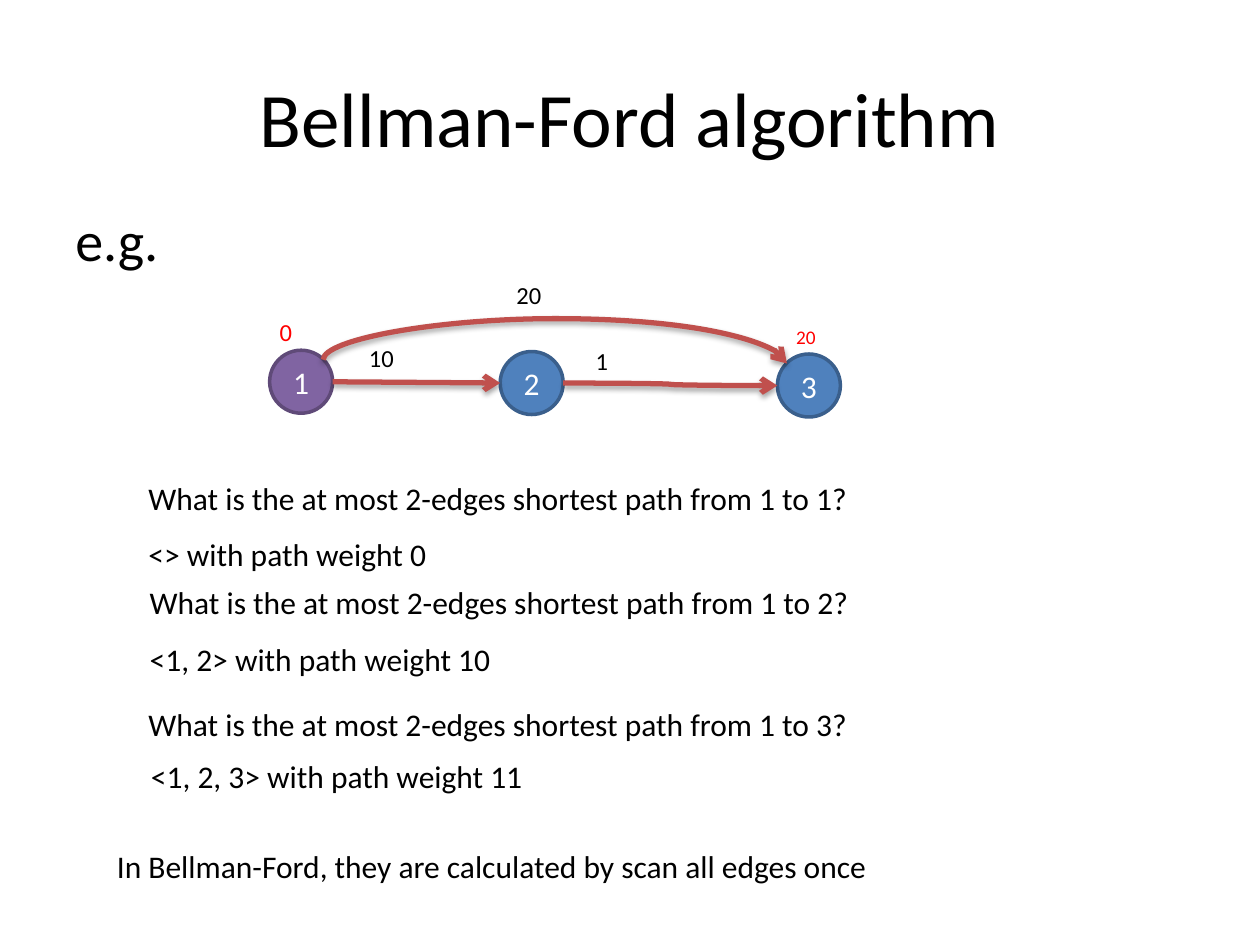
from lxml.etree import SubElement
from pptx import Presentation
from pptx.dml.color import RGBColor
from pptx.enum.shapes import MSO_CONNECTOR, MSO_SHAPE
from pptx.enum.text import MSO_ANCHOR, PP_ALIGN
from pptx.oxml.ns import qn
from pptx.util import Inches, Pt

COLORS = {
    "text": "000000", "distance": "FF0000", "node_text": "FFFFFF",
    "source": "8064A2", "source_line": "5F4A78",
    "node": "4F81BD", "node_line": "3A5F8C", "edge": "C0504D",
}

presentation = Presentation()
presentation.slide_width, presentation.slide_height = Inches(10), Inches(7.5)
slide = presentation.slides.add_slide(presentation.slide_layouts[6])

# The grid has 100 columns and 75 rows.
COLUMN = presentation.slide_width // 100
ROW = presentation.slide_height // 75


def write(text, column, row, columns, rows, shape=None, size=18, color="text",
          align=PP_ALIGN.LEFT, anchor=MSO_ANCHOR.TOP):
    """Write text into the shape, or into a new text box on the grid."""
    if shape is None:
        shape = slide.shapes.add_textbox(
            round(column * COLUMN), round(row * ROW),
            round(columns * COLUMN), round(rows * ROW))
    frame = shape.text_frame
    frame.word_wrap = True
    frame.vertical_anchor = anchor
    paragraph = frame.paragraphs[0]
    paragraph.text = text
    paragraph.alignment = align
    paragraph.font.name = "Calibri"
    paragraph.font.size = Pt(size)
    paragraph.font.color.rgb = RGBColor.from_string(COLORS[color])


def add_edge(kind, start, end):
    """Draw an arrow with a soft shadow between two (column, row) points."""
    edge = slide.shapes.add_connector(
        kind, round(start[0] * COLUMN), round(start[1] * ROW),
        round(end[0] * COLUMN), round(end[1] * ROW))
    edge.line.width = Pt(3)
    edge.line.color.rgb = RGBColor.from_string(COLORS["edge"])
    properties = edge._element.spPr
    SubElement(properties.find(qn("a:ln")), qn("a:tailEnd"), type="arrow")
    effects = SubElement(properties, qn("a:effectLst"))
    shadow = SubElement(effects, qn("a:outerShdw"), blurRad=str(Pt(3.1)),
                        dist=str(Pt(1.8)), dir="5400000", rotWithShape="0")
    shadow_color = SubElement(shadow, qn("a:srgbClr"), val=COLORS["text"])
    SubElement(shadow_color, qn("a:alpha"), val="35000")
    return edge


write("Bellman-Ford algorithm", 5, 3, 90, 12.5, size=44,
      align=PP_ALIGN.CENTER, anchor=MSO_ANCHOR.MIDDLE)
write("e.g.", 5, 15.8, 16.2, 7.5, size=32)

# Graph nodes
NODE_SIZE = 5
nodes = [("1", 21.4, 27.8, "source"), ("2", 39.7, 27.9, "node"), ("3", 61.7, 28.1, "node")]
for name, column, row, color in nodes:
    node = slide.shapes.add_shape(
        MSO_SHAPE.OVAL, round(column * COLUMN), round(row * ROW),
        NODE_SIZE * COLUMN, NODE_SIZE * ROW)
    node.shadow.inherit = False
    node.fill.solid()
    node.fill.fore_color.rgb = RGBColor.from_string(COLORS[color])
    node.line.color.rgb = RGBColor.from_string(COLORS[color + "_line"])
    node.line.width = Pt(2)
    write(name, column, row, NODE_SIZE, NODE_SIZE, shape=node, color="node_text",
          align=PP_ALIGN.CENTER, anchor=MSO_ANCHOR.MIDDLE)

# Edges between neighbours run from the right side to the next left side.
edge_kinds = [MSO_CONNECTOR.STRAIGHT, MSO_CONNECTOR.CURVE]
for kind, (_, column, row, _), (_, next_column, next_row, _) in zip(edge_kinds, nodes, nodes[1:]):
    add_edge(kind, (column + NODE_SIZE, row + NODE_SIZE / 2),
             (next_column, next_row + NODE_SIZE / 2))

# The arc from 1 to 3 is an upright curve turned by 270 degrees;
# its adjustment bends it 3.27 rows above its start.
arc_drop, arc_rise = 0.3, 3.27
arc = add_edge(MSO_CONNECTOR.CURVE, (43.9 + arc_drop, 10.3), (43.9, 47.1))
arc._element.spPr.find(qn("a:xfrm")).set("rot", str(270 * 60000))
guides = arc._element.spPr.find(qn("a:prstGeom")).get_or_add_avLst()
SubElement(guides, qn("a:gd"), name="adj1",
           fmla=f"val {round(-arc_rise / arc_drop * 100000)}")

# Edge weights and distances
for text, column, row, columns, size, color in [
    ("10", 28.3, 26.7, 4.7, 14, "text"),
    ("1", 46.3, 27, 4.7, 14, "text"),
    ("20", 40, 21.7, 4.7, 14, "text"),
    ("0", 21.2, 24.7, 3.9, 14, "distance"),
    ("20", 62.2, 25.3, 3.9, 11, "distance"),
]:
    write(text, column, row, columns, 3.4, size=size, color=color)

# Questions, answers and conclusion
for text, column, row in [
    ("What is the at most 2-edges shortest path from 1 to 1?", 10.8, 37.5),
    ("<> with path weight 0", 10.8, 42),
    ("What is the at most 2-edges shortest path from 1 to 2?", 10.9, 45.8),
    ("<1, 2> with path weight 10", 10.9, 50.3),
    ("What is the at most 2-edges shortest path from 1 to 3?", 10.8, 55.5),
    ("<1, 2, 3> with path weight 11", 11, 59.6),
    ("In Bellman-Ford, they are calculated by scan all edges once", 8.3, 66.7),
]:
    write(text, column, row, 70, 4)

presentation.save("out.pptx")
